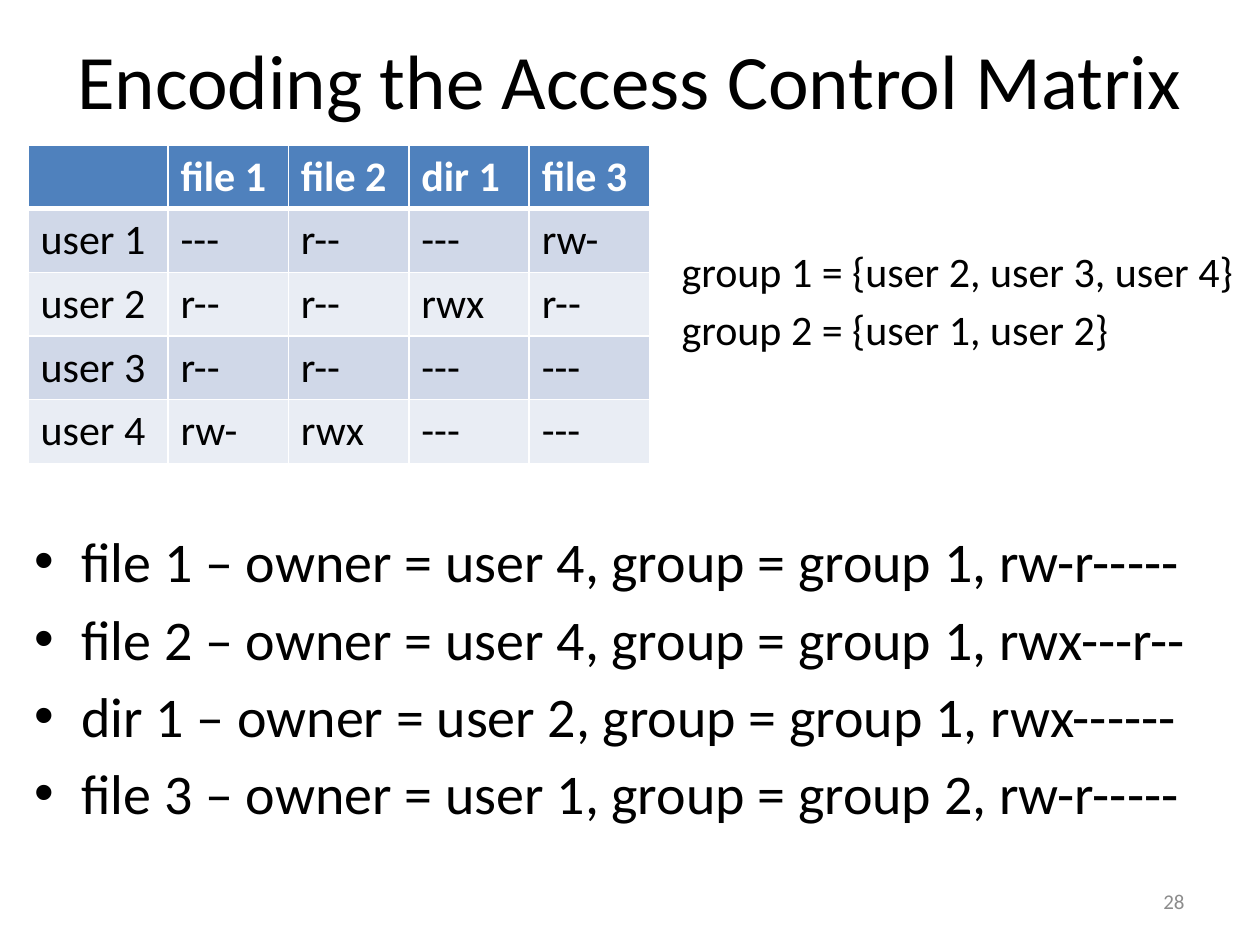
"""Build the slide on encoding an access control matrix as owner, group and mode bits."""
import pptx
import pptx.dml.color
import pptx.enum.text
import pptx.oxml
import pptx.oxml.ns
import pptx.util

Pt = pptx.util.Pt
RGBColor = pptx.dml.color.RGBColor
ALIGN = pptx.enum.text.PP_ALIGN
ANCHOR = pptx.enum.text.MSO_ANCHOR

BLACK = RGBColor(0x00, 0x00, 0x00)
WHITE = RGBColor(0xFF, 0xFF, 0xFF)
GRAY = RGBColor(0x8C, 0x8C, 0x8C)
BLUE = RGBColor(0x4F, 0x81, 0xBD)
BANDS = (RGBColor(0xE9, 0xED, 0xF4), RGBColor(0xD0, 0xD8, 0xE8))

TITLE = "Encoding the Access Control Matrix"
MATRIX = [
    ("", "file 1", "file 2", "dir 1", "file 3"),
    ("user 1", "---", "r--", "---", "rw-"),
    ("user 2", "r--", "r--", "rwx", "r--"),
    ("user 3", "r--", "r--", "---", "---"),
    ("user 4", "rw-", "rwx", "---", "---"),
]
ENCODINGS = [
    "file 1 – owner = user 4, group = group 1, rw-r-----",
    "file 2 – owner = user 4, group = group 1, rwx---r--",
    "dir 1 – owner = user 2, group = group 1, rwx------",
    "file 3 – owner = user 1, group = group 2, rw-r-----",
]
GROUPS = ["group 1 = {user 2, user 3, user 4}", "group 2 = {user 1, user 2}"]
PAGE = "28"

TITLE_BOX = (36, 0, 648, 90)
ENCODING_BOX = (12.4, 297.4, 687.6, 185)
PAGE_BOX = (516, 500.5, 168, 28.8)
GROUP_BOX = (382.4, 136.8, 332, 85)
TABLE_LEFT, TABLE_TOP = 16, 82.8
COLUMN_WIDTHS = [80] + [68.8] * 4
ROW_HEIGHT = 36.4
SPACING = 0.18
INDENT = 27


def set_all(obj, **values):
    for name, value in values.items():
        setattr(obj, name, value)


def write(tf, lines, size, color=BLACK, bold=False, align=ALIGN.LEFT, spacing=0):
    for i, line in enumerate(lines):
        p = tf.add_paragraph() if i else tf.paragraphs[0]
        set_all(p, alignment=align, space_before=Pt(round(size * spacing, 1)))
        r = p.add_run()
        r.text = line
        set_all(r.font, name="Calibri", size=Pt(size), bold=bold)
        r.font.color.rgb = color


def add_text(slide, box, lines, size, anchor=ANCHOR.TOP, **style):
    tf = slide.shapes.add_textbox(*map(Pt, box)).text_frame
    set_all(tf, word_wrap=True, vertical_anchor=anchor)
    write(tf, lines, size, **style)
    return tf


def add_bullets(tf):
    for p in tf.paragraphs:
        ppr = p._p.get_or_add_pPr()
        ppr.set("marL", str(Pt(INDENT)))
        ppr.set("indent", str(-Pt(INDENT)))
        for tag, key, value in (("buFont", "typeface", "Arial"), ("buChar", "char", "•")):
            pptx.oxml.ns.qn("a:" + tag)
            ppr.append(pptx.oxml.parse_xml(
                f'<a:{tag} {pptx.oxml.ns.nsdecls("a")} {key}="{value}"/>'))


def set_borders(cell, row):
    widths = {"L": 1, "R": 1, "T": 3 if row == 1 else 1, "B": 3 if row == 0 else 1}
    for i, (side, width) in enumerate(widths.items()):
        cell._tc.get_or_add_tcPr().insert(i, pptx.oxml.parse_xml(
            f'<a:ln{side} {pptx.oxml.ns.nsdecls("a")} w="{Pt(width)}">'
            f'<a:solidFill><a:srgbClr val="{WHITE}"/></a:solidFill></a:ln{side}>'))


def add_matrix(slide):
    size = (sum(COLUMN_WIDTHS), ROW_HEIGHT * len(MATRIX))
    table = slide.shapes.add_table(
        len(MATRIX), len(COLUMN_WIDTHS), *map(Pt, (TABLE_LEFT, TABLE_TOP, *size))).table
    for column, width in zip(table.columns, COLUMN_WIDTHS):
        column.width = Pt(width)
    for i, values in enumerate(MATRIX):
        table.rows[i].height = Pt(ROW_HEIGHT)
        header = i == 0
        for j, value in enumerate(values):
            cell = table.cell(i, j)
            cell.fill.solid()
            cell.fill.fore_color.rgb = BLUE if header else BANDS[i % 2]
            set_borders(cell, i)
            write(cell.text_frame, [value], 24, WHITE if header else BLACK, header)


def main():
    prs = pptx.Presentation()
    set_all(prs, slide_width=Pt(720), slide_height=Pt(540))
    slide = prs.slides.add_slide(prs.slide_layouts[5])
    title = slide.shapes.title
    set_all(title, **dict(zip(("left", "top", "width", "height"), map(Pt, TITLE_BOX))))
    set_all(title.text_frame, vertical_anchor=ANCHOR.MIDDLE, word_wrap=True,
            auto_size=pptx.enum.text.MSO_AUTO_SIZE.NONE)
    write(title.text_frame, [TITLE], 44, align=ALIGN.CENTER)
    add_bullets(add_text(slide, ENCODING_BOX, ENCODINGS, 32, spacing=SPACING))
    add_text(slide, PAGE_BOX, [PAGE], 12, ANCHOR.MIDDLE, color=GRAY, align=ALIGN.RIGHT)
    add_matrix(slide)
    add_text(slide, GROUP_BOX, GROUPS, 24, spacing=SPACING)
    prs.save("out.pptx")


if __name__ == "__main__":
    main()
